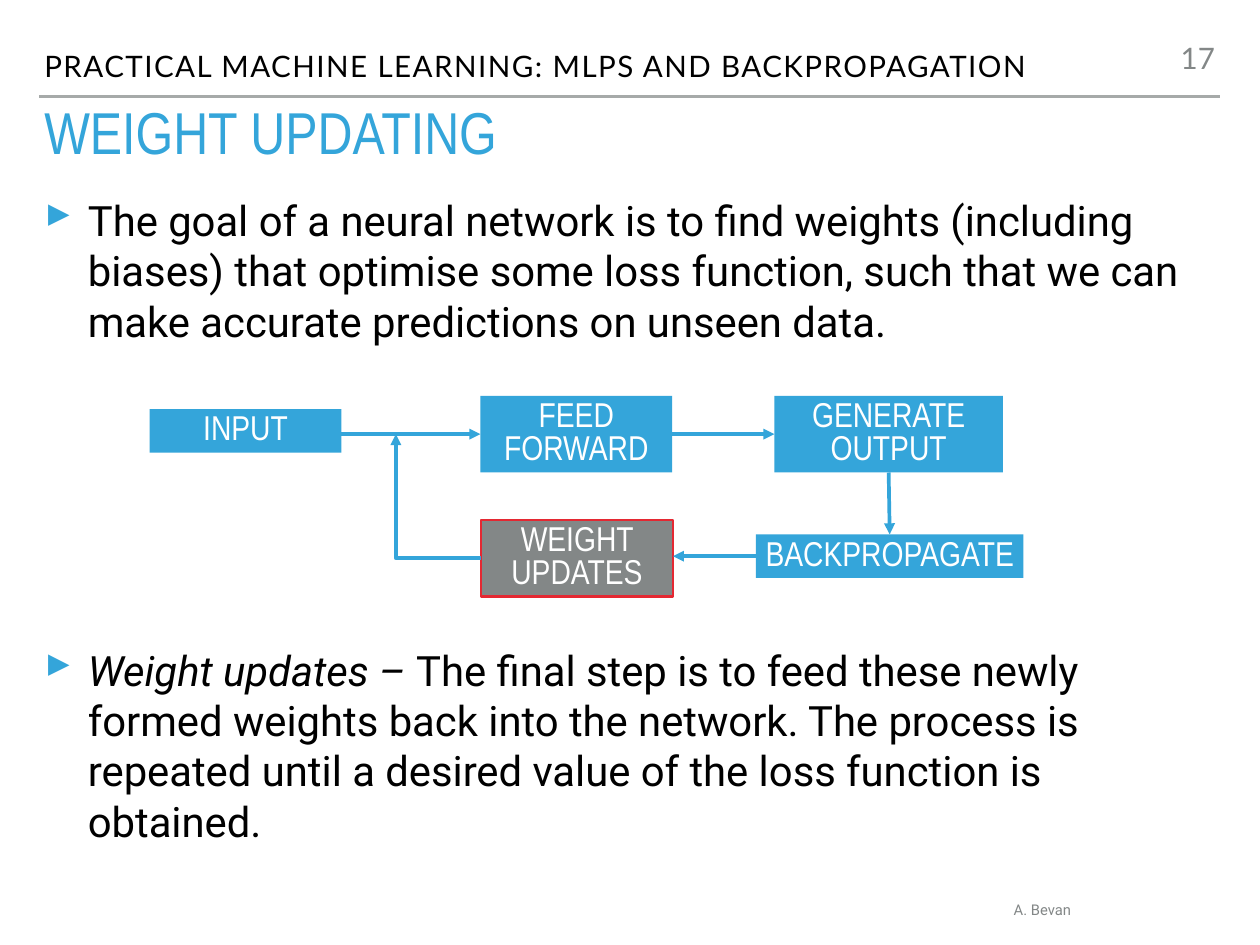
"""Build the slide on weight updating."""
from lxml.etree import SubElement
from pptx import Presentation
from pptx.dml.color import RGBColor
from pptx.enum.shapes import MSO_CONNECTOR, MSO_SHAPE
from pptx.enum.text import MSO_ANCHOR, MSO_AUTO_SIZE, PP_ALIGN
from pptx.oxml.ns import qn
from pptx.util import Cm, Pt

BLUE = RGBColor(0x34, 0xA5, 0xDA)
GREY = RGBColor(0x83, 0x87, 0x87)
RULE = RGBColor(0xA6, 0xAA, 0xA9)
RED = RGBColor(0xE4, 0x28, 0x32)
BLACK = RGBColor(0, 0, 0)
WHITE = RGBColor(255, 255, 255)

HEAD = "PRACTICAL MACHINE LEARNING: MLPS AND BACKPROPAGATION"
TITLE = "WEIGHT UPDATING"
PAGE = "17"
NAME = "A. Bevan"
POINTS = [
    (5.44, [("The goal of a neural network is to find weights (including biases) that "
             "optimise some loss function, such that we can make accurate predictions "
             "on unseen data.", False)]),
    (18.34, [("Weight updates – ", True),
             ("The final step is to feed these newly formed weights back into the "
              "network. The process is repeated until a desired value of the loss "
              "function is obtained.", False)]),
]
STEPS = {
    "INPUT": (4.29, 12.36, 5.5, 1.25),
    "FEED FORWARD": (13.77, 12.45, 5.5, 2.2),
    "GENERATE OUTPUT": (22.2, 12.45, 6.55, 2.2),
    "BACKPROPAGATE": (21.67, 15.95, 7.67, 1.25),
    "WEIGHT UPDATES": (13.79, 16.01, 5.5, 2.2),
}
LEFT, WIDE, PAD = 1.12, 33.86, 0.15
FLOW, BACK, JOIN = 12.45, 15.95, 11.35


def set_frame(shape, anchor=MSO_ANCHOR.TOP, wrap=True):
    """Set padding, anchor and wrapping, and return the first paragraph."""
    frame = shape.text_frame
    frame.auto_size = MSO_AUTO_SIZE.NONE
    frame.word_wrap = wrap
    frame.vertical_anchor = anchor
    frame.margin_left = frame.margin_right = Cm(PAD)
    frame.margin_top = frame.margin_bottom = Cm(PAD)
    return frame.paragraphs[0]


def add_run(para, text, size, face, color, slant=False):
    """Add one styled run to a paragraph."""
    run = para.add_run()
    run.text = text
    font = run.font
    font.size, font.name, font.italic = Pt(size), face, slant
    font.color.rgb = color
    return run


def add_box(slide, left, top, width, height, **frame):
    """Add a text box and return its first paragraph."""
    box = slide.shapes.add_textbox(Cm(left), Cm(top), Cm(width), Cm(height))
    return set_frame(box, **frame)


def add_mark(para):
    """Give a paragraph its blue triangle bullet."""
    props = para._p.get_or_add_pPr()
    props.set("marL", str(Cm(1.25)))
    props.set("indent", str(-Cm(1.25)))
    color = SubElement(props, qn("a:buClr"))
    SubElement(color, qn("a:srgbClr")).set("val", str(BLUE))
    SubElement(props, qn("a:buSzPct")).set("val", "105000")
    SubElement(props, qn("a:buChar")).set("char", "▸")


def add_step(slide, text, left, mid, width, height):
    """Add one box of the flow chart."""
    box = slide.shapes.add_shape(MSO_SHAPE.RECTANGLE, Cm(left), Cm(mid - height / 2),
                                 Cm(width), Cm(height))
    box.shadow.inherit = False
    box.fill.solid()
    if text == "WEIGHT UPDATES":
        box.fill.fore_color.rgb = GREY
        box.line.color.rgb = RED
        box.line.width = Pt(2)
    else:
        box.fill.fore_color.rgb = BLUE
        box.line.fill.background()
    para = set_frame(box, MSO_ANCHOR.MIDDLE)
    para.alignment = PP_ALIGN.CENTER
    para.line_spacing = 0.8
    add_run(para, text, 28, "Arial Narrow", WHITE)


def add_line(slide, start, end, color=BLUE, width=3, arrow=True, bent=False):
    """Add a straight or bent line, with or without an arrowhead."""
    kind = MSO_CONNECTOR.ELBOW if bent else MSO_CONNECTOR.STRAIGHT
    line = slide.shapes.add_connector(kind, *map(Cm, start + end))
    line.line.color.rgb = color
    line.line.width = Pt(width)
    props = line._element.spPr
    if bent:
        props.find(qn("a:prstGeom")).set("prst", "bentConnector2")
    if arrow:
        SubElement(line.line._get_or_add_ln(), qn("a:tailEnd")).set("type", "triangle")
    SubElement(props, qn("a:effectLst"))


def main():
    """Build and save the slide."""
    deck = Presentation()
    deck.slide_width, deck.slide_height = Cm(36.12), Cm(27.1)
    slide = deck.slides.add_slide(deck.slide_layouts[5])

    title = slide.shapes.title
    title.left, title.top = Cm(LEFT), Cm(2.97)
    title.width, title.height = Cm(WIDE), Cm(2)
    para = set_frame(title)
    para.alignment = PP_ALIGN.LEFT
    para.line_spacing = 0.8
    add_run(para, TITLE, 48, "Arial Narrow", BLUE)

    add_line(slide, (LEFT, 2.77), (LEFT + WIDE, 2.77), RULE, 2, arrow=False)
    para = add_box(slide, LEFT, 1.42, 31.04, 1.12, anchor=MSO_ANCHOR.BOTTOM)
    para.line_spacing = 0.8
    run = add_run(para, HEAD, 24, "Lato", BLACK)
    run._r.get_or_add_rPr().set("spc", "120")
    para = add_box(slide, 33.48, 1.19, 1.5, 1.27)
    para.alignment = PP_ALIGN.RIGHT
    para.line_spacing = 0.8
    add_run(para, PAGE, 24, "Lato", GREY)
    para = add_box(slide, 28.91, 25.68, 2.03, 0.84, anchor=MSO_ANCHOR.MIDDLE, wrap=False)
    add_run(para, NAME, 12, "Roboto", GREY)

    for top, runs in POINTS:
        para = add_box(slide, LEFT, top, WIDE, 5)
        add_mark(para)
        for text, slant in runs:
            add_run(para, text, 34, "Roboto", BLACK, slant)

    for text, place in STEPS.items():
        add_step(slide, text, *place)
    start, feed, out, prop, last = STEPS.values()
    mid = out[0] + out[2] / 2
    add_line(slide, (start[0] + start[2], FLOW), (feed[0], FLOW))
    add_line(slide, (feed[0] + feed[2], FLOW), (out[0], FLOW))
    add_line(slide, (mid, out[1] + out[3] / 2), (mid + 0.03, prop[1] - prop[3] / 2))
    add_line(slide, (prop[0], BACK), (last[0] + last[2], BACK))
    add_line(slide, (last[0], last[1]), (JOIN, FLOW), bent=True)

    deck.save("out.pptx")


if __name__ == "__main__":
    main()
